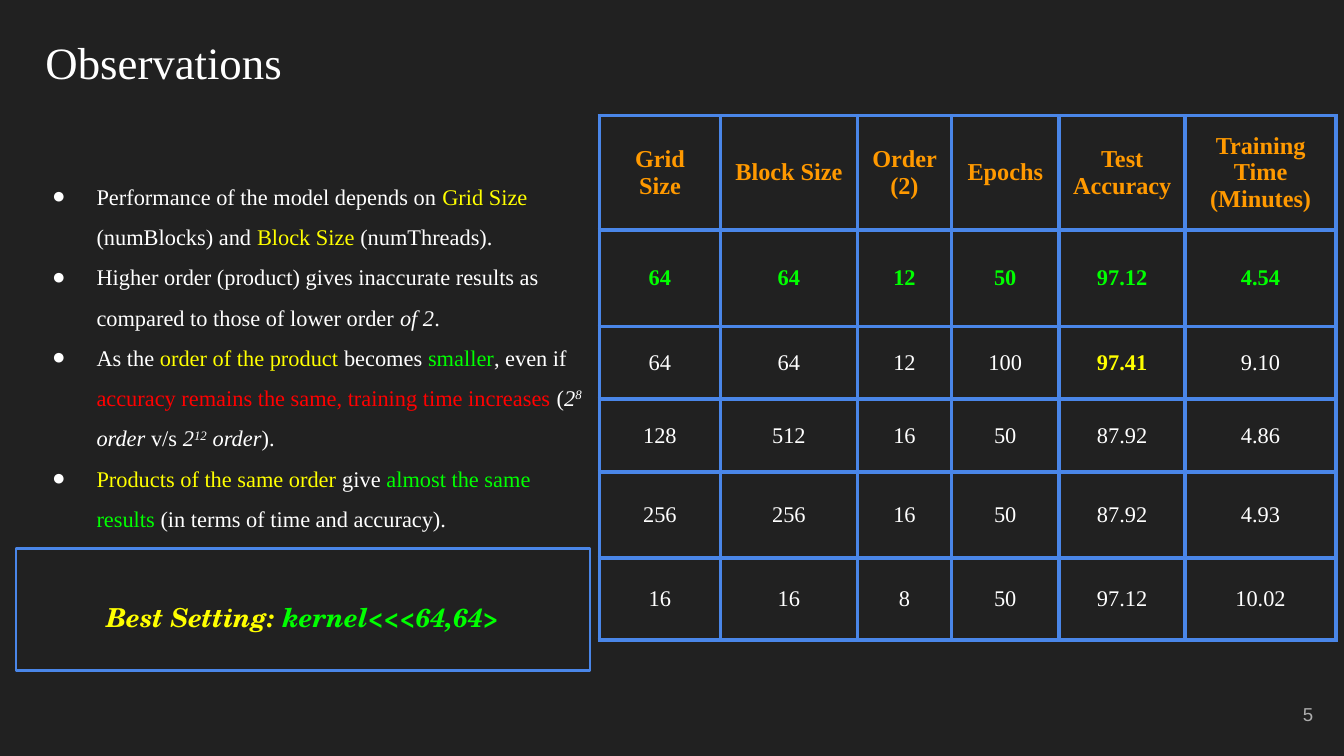
import pptx
import pptx.util
import pptx.dml.color
import pptx.enum.shapes
import pptx.enum.text
import pptx.oxml.ns
from lxml import etree

Inches = pptx.util.Inches
Pt = pptx.util.Pt
RGBColor = pptx.dml.color.RGBColor
PP_ALIGN = pptx.enum.text.PP_ALIGN
MIDDLE = pptx.enum.text.MSO_ANCHOR.MIDDLE
qn = pptx.oxml.ns.qn

BACKGROUND = RGBColor(0x21, 0x21, 0x21)
WHITE = RGBColor(0xFF, 0xFF, 0xFF)
GRAY = RGBColor(0xAD, 0xAD, 0xAD)
YELLOW = RGBColor(0xFF, 0xFF, 0x00)
GREEN = RGBColor(0x00, 0xFF, 0x00)
RED = RGBColor(0xFF, 0x00, 0x00)
ORANGE = RGBColor(0xFF, 0x99, 0x00)
BLUE = RGBColor(0x4A, 0x86, 0xE8)
SERIF = "Times New Roman"

PLAIN, ITALIC, SUPER = "plain", "italic", "super"

OBSERVATIONS = [
    [("Performance of the model depends on ", WHITE, PLAIN),
     ("Grid Size ", YELLOW, PLAIN),
     ("(numBlocks) and ", WHITE, PLAIN),
     ("Block Size ", YELLOW, PLAIN),
     ("(numThreads).", WHITE, PLAIN)],
    [("Higher order (product) gives inaccurate results as compared to those of lower order",
      WHITE, PLAIN),
     (" of 2", WHITE, ITALIC),
     (".", WHITE, PLAIN)],
    [("As the ", WHITE, PLAIN),
     ("order of the product", YELLOW, PLAIN),
     (" becomes ", WHITE, PLAIN),
     ("smaller", GREEN, PLAIN),
     (", even if ", WHITE, PLAIN),
     ("accuracy remains the same, training time increases", RED, PLAIN),
     (" (", WHITE, PLAIN),
     ("2", WHITE, ITALIC),
     ("8 ", WHITE, SUPER),
     ("order", WHITE, ITALIC),
     (" v/s ", WHITE, PLAIN),
     ("2", WHITE, ITALIC),
     ("12", WHITE, SUPER),
     (" order", WHITE, ITALIC),
     (").", WHITE, PLAIN)],
    [("Products of the same order ", YELLOW, PLAIN),
     ("give ", WHITE, PLAIN),
     ("almost the same results", GREEN, PLAIN),
     (" (in terms of time and accuracy).", WHITE, PLAIN)],
]
BEST_SETTING = [("Best Setting: ", YELLOW, ITALIC), ("kernel<<<64,64>", GREEN, ITALIC)]

RESULTS = [
    ["Grid Size", "Block Size", "Order (2)", "Epochs", "Test Accuracy", "Training Time (Minutes)"],
    ["64", "64", "12", "50", "97.12", "4.54"],
    ["64", "64", "12", "100", "97.41", "9.10"],
    ["128", "512", "16", "50", "87.92", "4.86"],
    ["256", "256", "16", "50", "87.92", "4.93"],
    ["16", "16", "8", "50", "97.12", "10.02"],
]
COLUMN_WIDTHS = [0.9, 1.02, 0.7, 0.8, 0.94, 1.12]
ROW_HEIGHTS = [0.47, 0.72, 0.54, 0.54, 0.64, 0.61]
ROW_COLORS = {0: ORANGE, 1: GREEN}
BEST_ACCURACY = (2, 4)


def prepare_frame(shape):
    frame = shape.text_frame
    frame.word_wrap = True
    frame.vertical_anchor = MIDDLE
    frame.margin_left = frame.margin_right = Inches(0.1)
    frame.margin_top = frame.margin_bottom = Inches(0.1)
    return frame


def add_text_box(slide, left, top, width, height):
    box = slide.shapes.add_textbox(Inches(left), Inches(top), Inches(width), Inches(height))
    return prepare_frame(box)


def set_font(paragraph, name, size, color=None, bold=False):
    font = paragraph.font
    font.name, font.size, font.bold = name, Pt(size), bold
    if color is not None:
        font.color.rgb = color


def add_runs(paragraph, parts):
    for text, color, style in parts:
        run = paragraph.add_run()
        run.text = text
        run.font.color.rgb = color
        run.font.italic = style != PLAIN
        if style == SUPER:
            run._r.get_or_add_rPr().set("baseline", "30000")


def add_bullet(paragraph):
    properties = paragraph._p.get_or_add_pPr()
    properties.set("marL", str(Inches(0.5)))
    properties.set("indent", str(Inches(-0.33)))
    bullet_color = etree.Element(qn("a:buClr"))
    etree.SubElement(bullet_color, qn("a:srgbClr"), val=str(WHITE))
    bullet_size = etree.Element(qn("a:buSzPts"), val="1200")
    bullet_font = etree.Element(qn("a:buFont"), typeface=SERIF)
    bullet = etree.Element(qn("a:buChar"), char="●")
    previous = properties.find(qn("a:lnSpc"))
    for element in (bullet_color, bullet_size, bullet_font, bullet):
        previous.addnext(element)
        previous = element


def add_borders(cell):
    properties = cell._tc.get_or_add_tcPr()
    for side in ("lnL", "lnR", "lnT", "lnB"):
        border = etree.SubElement(properties, qn("a:" + side), w=str(Pt(2.25)))
        fill = etree.SubElement(border, qn("a:solidFill"))
        etree.SubElement(fill, qn("a:srgbClr"), val=str(BLUE))


def add_results(slide):
    table = slide.shapes.add_table(
        len(RESULTS), len(COLUMN_WIDTHS), Inches(4.46), Inches(0.86),
        Inches(sum(COLUMN_WIDTHS)), Inches(sum(ROW_HEIGHTS))).table
    table.first_row = table.horz_banding = False
    for column, width in zip(table.columns, COLUMN_WIDTHS):
        column.width = Inches(width)
    for row, height in zip(table.rows, ROW_HEIGHTS):
        row.height = Inches(height)
    for r, values in enumerate(RESULTS):
        for c, value in enumerate(values):
            cell = table.cell(r, c)
            cell.text = value
            cell.vertical_anchor = MIDDLE
            cell.margin_left = cell.margin_right = Inches(0.1)
            cell.margin_top = cell.margin_bottom = Inches(0.1)
            add_borders(cell)
            cell.fill.background()
            best = (r, c) == BEST_ACCURACY
            color = YELLOW if best else ROW_COLORS.get(r, WHITE)
            paragraph = cell.text_frame.paragraphs[0]
            paragraph.alignment = PP_ALIGN.CENTER
            set_font(paragraph, SERIF, 13 if r == 0 else 12, color, best or r in ROW_COLORS)


def main():
    deck = pptx.Presentation()
    deck.slide_width = Inches(10)
    deck.slide_height = deck.slide_width * 9 // 16
    slide = deck.slides.add_slide(deck.slide_layouts[6])
    slide.background.fill.solid()
    slide.background.fill.fore_color.rgb = BACKGROUND

    title = add_text_box(slide, 0.24, 0.13, 9.46, 0.66).paragraphs[0]
    title.text = "Observations"
    set_font(title, SERIF, 24, WHITE)

    page_number = add_text_box(slide, 9.27, 5.1, 0.6, 0.43).paragraphs[0]
    page_number.text = "5"
    page_number.alignment = PP_ALIGN.RIGHT
    set_font(page_number, "Arial", 10, GRAY)

    add_results(slide)

    observations = add_text_box(slide, 0.12, 0.86, 4.34, 3.5)
    for index, parts in enumerate(OBSERVATIONS):
        paragraph = observations.add_paragraph() if index else observations.paragraphs[0]
        paragraph.line_spacing = 1.5
        add_bullet(paragraph)
        set_font(paragraph, SERIF, 12)
        add_runs(paragraph, parts)

    best_box = slide.shapes.add_shape(
        pptx.enum.shapes.MSO_SHAPE.RECTANGLE,
        Inches(0.12), Inches(4.08), Inches(4.27), Inches(0.91))
    best_box.shadow.inherit = False
    best_box.fill.background()
    best_box.line.color.rgb = BLUE
    best_box.line.width = Pt(1.5)
    best_setting = prepare_frame(best_box).paragraphs[0]
    best_setting.alignment = PP_ALIGN.CENTER
    best_setting.line_spacing = 1.5
    set_font(best_setting, "TeX Gyre Schola", 14, bold=True)
    add_runs(best_setting, BEST_SETTING)

    deck.save("out.pptx")


if __name__ == "__main__":
    main()
